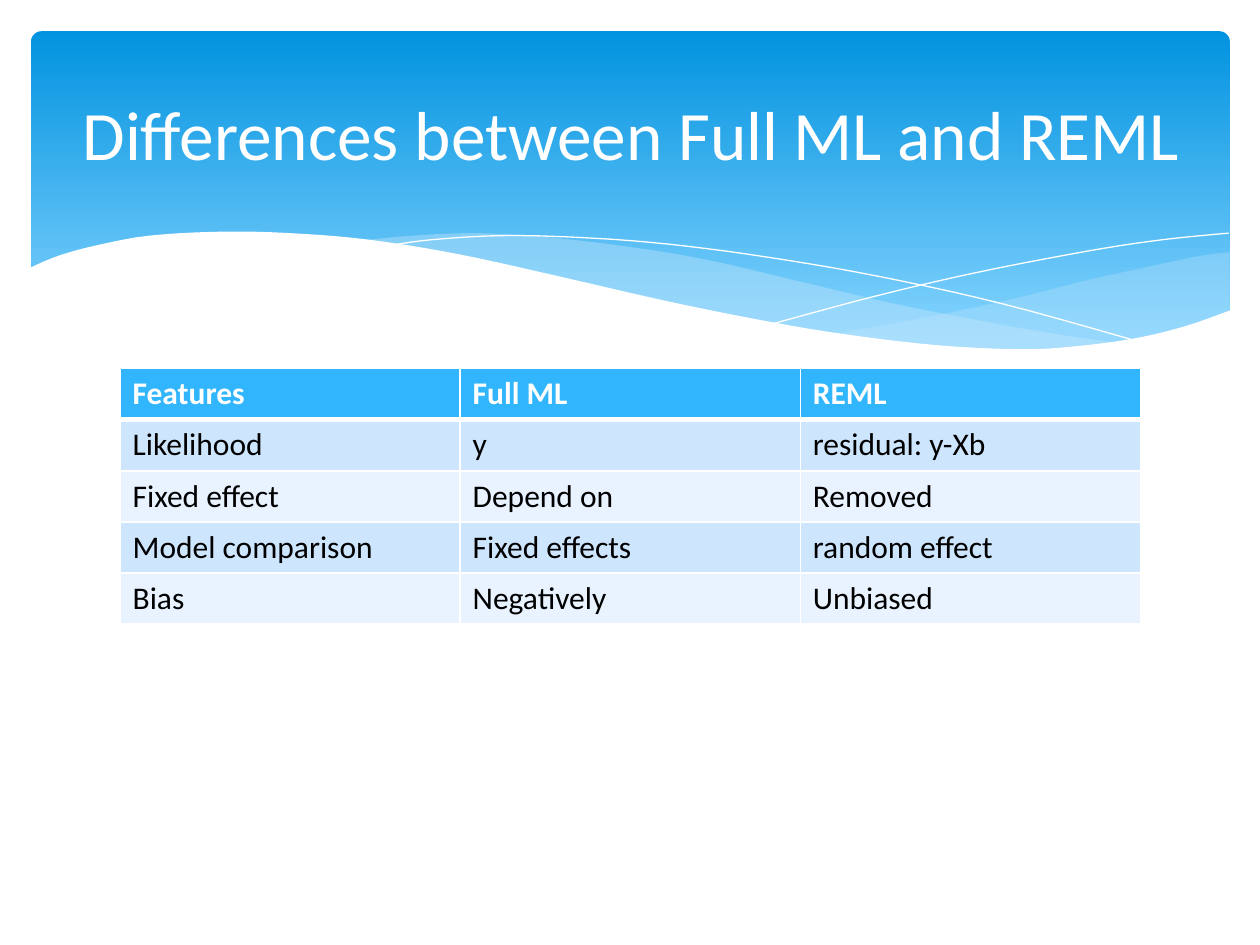
import lxml.etree
import pptx
import pptx.dml.color
import pptx.enum.shapes
import pptx.enum.text
import pptx.oxml.ns
import pptx.util

Cm = pptx.util.Cm
Pt = pptx.util.Pt
qn = pptx.oxml.ns.qn

WHITE = "FFFFFF"
WAVE = "C6E7FC"

RIGHT_WAVE = [
    [(24.79, 5.08), (24.08, 5.18), (23.01, 5.41), (21.87, 5.66),
     (20.45, 6.02), (18.52, 6.43), (16.79, 6.73)],
    [(17.91, 6.88), (19.23, 7.01), (20.4, 7.06), (21.69, 7.01),
     (22.78, 6.86), (23.75, 6.65), (24.79, 6.27)],
]
LEFT_WAVE = [
    [(22.68, 6.93), (21.26, 6.73), (19.69, 6.45), (17.93, 6.1),
     (15.98, 5.64), (14.45, 5.28), (13.06, 5.03), (11.23, 4.8),
     (9.65, 4.7), (8.33, 4.75), (7.26, 4.85)],
    [(8.69, 5.05), (10.26, 5.36), (11.4, 5.64), (13.46, 6.1),
     (15.27, 6.48), (16.89, 6.76), (18.34, 6.96), (19.94, 7.06),
     (21.29, 7.06), (22.68, 6.93)],
]
FALLING_LINE = [
    [(7.85, 4.95), (8.74, 4.83), (10.19, 4.75), (11.91, 4.8), (13.54, 4.93),
     (15.44, 5.18), (17.65, 5.56), (20.19, 6.12), (23.04, 6.91)],
]
RISING_LINE = [
    [(15.57, 6.53), (17.65, 5.97), (19.71, 5.49), (22, 5.05),
     (23.47, 4.83), (24.77, 4.7)],
]
WHITE_WAVE = [
    [(24.82, 6.25), (23.88, 6.58), (22.83, 6.83), (21.59, 6.99),
     (20.55, 7.04), (18.9, 6.96), (16.97, 6.73), (15.32, 6.45),
     (13.44, 6.07), (11.35, 5.59), (9.27, 5.13), (7.42, 4.83),
     (5.84, 4.7), (4.5, 4.67), (3.02, 4.75), (1.93, 4.95),
     (1.17, 5.16), (0.58, 5.41)],
    [(0.58, 8.36), (24.82, 8.36)],
]

FEATURES = [
    ["Features", "Full ML", "REML"],
    ["Likelihood", "y", "residual: y-Xb"],
    ["Fixed effect", "Depend on", "Removed"],
    ["Model comparison", "Fixed effects", "random effect"],
    ["Bias", "Negatively", "Unbiased"],
]


def color(value):
    return pptx.dml.color.RGBColor.from_string(value)


def smooth(knots, steps=5):
    ends = [knots[0], *knots, knots[-1]]
    points = [knots[0]]
    for a, b, c, d in zip(ends, ends[1:], ends[2:], ends[3:]):
        for step in range(1, steps + 1):
            t = step / steps
            points.append(tuple(
                q + t * (r - p + t * (2 * p - 5 * q + 4 * r - s
                                      + t * (3 * q - p - 3 * r + s))) / 2
                for p, q, r, s in zip(a, b, c, d)))
    return points


class SlideBuilder:
    font = "Calibri"

    def __init__(self, page):
        self.page = page

    def add_span(self, para, text, size, value, bold=False):
        span = para.add_run()
        span.text = text
        span.font.name = self.font
        span.font.size = Pt(size)
        span.font.bold = bold
        span.font.color.rgb = color(value)

    def banner(self, left, top, width, height, first, last):
        box = self.page.shapes.add_shape(
            pptx.enum.shapes.MSO_SHAPE.ROUNDED_RECTANGLE,
            Cm(left), Cm(top), Cm(width), Cm(height))
        box.shadow.inherit = False
        box.adjustments[0] = 0.03
        box.line.fill.background()
        box.fill.gradient()
        box.fill.gradient_angle = 270
        for stop, value, position in zip(
                box.fill.gradient_stops, (first, last), (0, 0.9)):
            stop.color.rgb = color(value)
            stop.position = position

    def curve(self, edges, fill=None, opacity=100):
        points = [(Cm(x), Cm(y)) for edge in edges for x, y in smooth(edge)]
        builder = self.page.shapes.build_freeform(*points[0])
        builder.add_line_segments(points[1:], close=fill is not None)
        shape = builder.convert_to_shape()
        shape.shadow.inherit = False
        if fill is None:
            shape.fill.background()
            shape.line.color.rgb = color(WHITE)
            shape.line.width = Pt(0)
            return
        shape.line.fill.background()
        shape.fill.solid()
        shape.fill.fore_color.rgb = color(fill)
        if opacity < 100:
            tint = shape.element.spPr.find(qn("a:solidFill"))[0]
            lxml.etree.SubElement(tint, qn("a:alpha"), val=str(opacity * 1000))

    def border(self, cell, side, width):
        edge = lxml.etree.SubElement(
            cell._tc.get_or_add_tcPr(), qn(f"a:ln{side}"), w=str(Pt(width)))
        paint = lxml.etree.SubElement(edge, qn("a:solidFill"))
        lxml.etree.SubElement(paint, qn("a:srgbClr"), val=WHITE)

    def table(self, rows, left, top, width, height):
        table = self.page.shapes.add_table(
            len(rows), len(rows[0]),
            Cm(left), Cm(top), Cm(width), Cm(height)).table
        for row, texts in enumerate(rows):
            header = row == 0
            fill = "31B6FD" if header else ("E8F3FF", "CEE5FE")[row % 2]
            for column, text in enumerate(texts):
                cell = table.cell(row, column)
                for side in "LRTB":
                    thick = (row, side) in ((0, "B"), (1, "T"))
                    self.border(cell, side, 3 if thick else 1)
                cell.fill.solid()
                cell.fill.fore_color.rgb = color(fill)
                self.add_span(cell.text_frame.paragraphs[0], text, 18,
                              WHITE if header else "000000", header)

    def title(self, text, left, top, width, height):
        box = self.page.shapes.title
        box.left, box.top = Cm(left), Cm(top)
        box.width, box.height = Cm(width), Cm(height)
        frame = box.text_frame
        frame.word_wrap = True
        frame.auto_size = pptx.enum.text.MSO_AUTO_SIZE.NONE
        frame.vertical_anchor = pptx.enum.text.MSO_ANCHOR.MIDDLE
        para = frame.paragraphs[0]
        para.alignment = pptx.enum.text.PP_ALIGN.CENTER
        self.add_span(para, text, 39.6, WHITE)
        self.page.shapes.element.append(box.element)


def main():
    deck = pptx.Presentation()
    deck.slide_width, deck.slide_height = Cm(25.4), Cm(19.05)
    slide = SlideBuilder(deck.slides.add_slide(deck.slide_layouts[5]))
    slide.banner(0.63, 0.63, 24.16, 6.86, "0293E0", "83D3FE")
    slide.curve(RIGHT_WAVE, WAVE, 29)
    slide.curve(LEFT_WAVE, WAVE, 40)
    slide.curve(FALLING_LINE)
    slide.curve(RISING_LINE)
    slide.curve(WHITE_WAVE, WHITE)
    slide.table(FEATURES, 2.42, 7.43, 20.57, 5.15)
    slide.title("Differences between Full ML and REML", 0.66, 0.94, 24.13, 3.48)
    deck.save("out.pptx")


if __name__ == "__main__":
    main()
